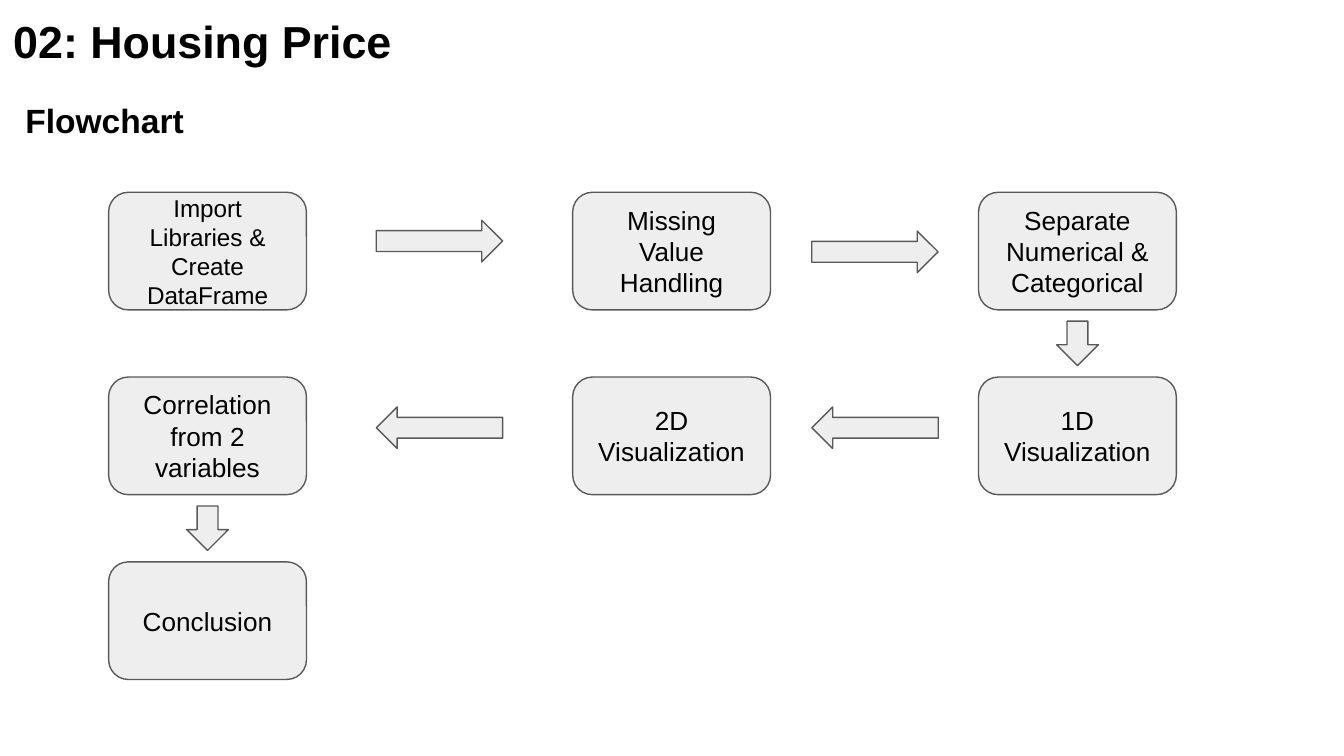
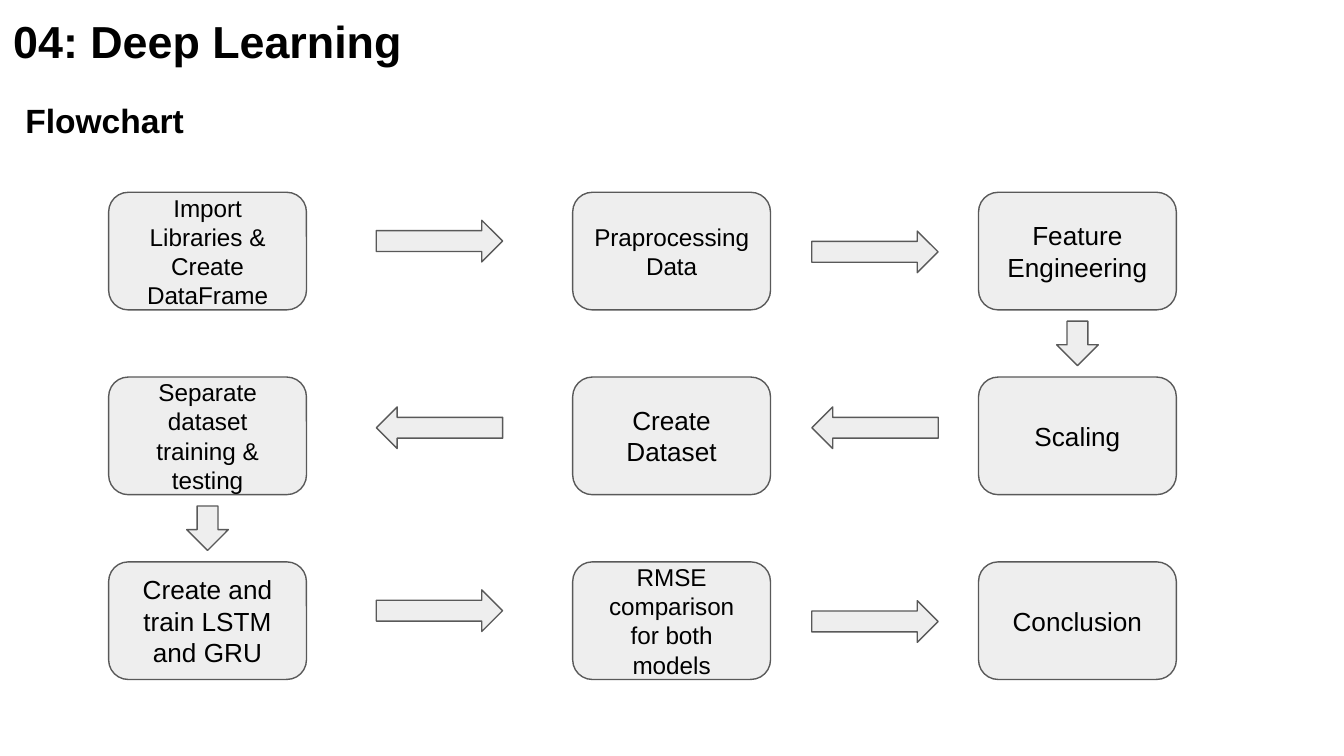
"""Build two flowchart slides whose steps wind back and forth across a grid."""
import pptx
import pptx.dml.color
import pptx.enum.shapes
import pptx.enum.text
import pptx.util

Pt = pptx.util.Pt
SHAPES = pptx.enum.shapes.MSO_SHAPE
ALIGN = pptx.enum.text.PP_ALIGN
ANCHOR = pptx.enum.text.MSO_ANCHOR
BLACK = pptx.dml.color.RGBColor(0x00, 0x00, 0x00)
GREY_FILL = pptx.dml.color.RGBColor(0xEE, 0xEE, 0xEE)
GREY_LINE = pptx.dml.color.RGBColor(0x59, 0x59, 0x59)
FONT = "Arial"

COLUMN_LEFTS = [58.2, 306.8, 524.2]
ROW_TOP, ROW_STEP = 103, 99
STEP_WIDTH, STEP_HEIGHT = 106, 63
ARROW_LEFTS = [201.6, 434.9]
ARROW_WIDTH, ARROW_HEIGHT, DOWN_LENGTH = 67.7, 22.3, 23.8
FORWARD_OFFSETS = [15, 20.8]
BACKWARD_OFFSET = 16

FLOWCHARTS = [
    ("02: Housing Price", [
        ("Import Libraries & Create DataFrame", 13),
        ("Missing Value Handling", 14),
        ("Separate Numerical & Categorical", 14),
        ("1D Visualization", 14),
        ("2D Visualization", 14),
        ("Correlation from 2 variables", 14),
        ("Conclusion", 14),
    ]),
    ("04: Deep Learning", [
        ("Import Libraries & Create DataFrame", 13),
        ("Praprocessing Data", 13),
        ("Feature Engineering", 14),
        ("Scaling", 14),
        ("Create Dataset", 14),
        ("Separate dataset training & testing", 13),
        ("Create and train LSTM and GRU", 14),
        ("RMSE comparison for both models", 13),
        ("Conclusion", 14),
    ]),
]


def write_text(box, text, size, align, bold=False):
    frame = box.text_frame
    frame.word_wrap = True
    frame.margin_left = frame.margin_right = Pt(7.2)
    frame.margin_top = frame.margin_bottom = Pt(7.2)
    frame.text = text
    para = frame.paragraphs[0]
    para.alignment = align
    span = para.runs[0]
    span.font.name = FONT
    span.font.size = Pt(size)
    span.font.bold = bold
    span.font.color.rgb = BLACK
    return para


def add_grey_shape(page, kind, left, top, width, height):
    shape = page.shapes.add_shape(kind, Pt(left), Pt(top), Pt(width), Pt(height))
    shape.shadow.inherit = False
    shape.fill.solid()
    shape.fill.fore_color.rgb = GREY_FILL
    shape.line.color.rgb = GREY_LINE
    shape.line.width = Pt(0.75)
    return shape


deck = pptx.Presentation()
deck.slide_width = Pt(720)
deck.slide_height = Pt(405)

for title, steps in FLOWCHARTS:
    page = deck.slides.add_slide(deck.slide_layouts[6])

    title_box = page.shapes.add_textbox(Pt(0), Pt(0), Pt(671), Pt(45.4))
    write_text(title_box, title, 24, ALIGN.JUSTIFY, bold=True)

    heading_box = page.shapes.add_textbox(Pt(6.5), Pt(43.2), Pt(689), Pt(332))
    heading = write_text(heading_box, "Flowchart", 18, ALIGN.LEFT, bold=True)
    heading.line_spacing = 1.15
    heading.space_after = Pt(12)

    for index, (label, size) in enumerate(steps):
        row, place = divmod(index, 3)
        backward = row % 2 == 1
        column = 2 - place if backward else place
        left = COLUMN_LEFTS[column]
        top = ROW_TOP + row * ROW_STEP

        step = add_grey_shape(page, SHAPES.ROUNDED_RECTANGLE, left, top, STEP_WIDTH, STEP_HEIGHT)
        step.adjustments[0] = 0.167
        step.text_frame.vertical_anchor = ANCHOR.MIDDLE
        write_text(step, label, size, ALIGN.CENTER)

        if index == len(steps) - 1:
            continue
        if place == 2:
            arrow_left = left + (STEP_WIDTH - DOWN_LENGTH) / 2
            arrow_top = top + (STEP_HEIGHT + ROW_STEP - ARROW_HEIGHT) / 2
            arrow_width, rotation = DOWN_LENGTH, 90
        else:
            gap = column - 1 if backward else column
            arrow_left = ARROW_LEFTS[gap]
            arrow_top = top + (BACKWARD_OFFSET if backward else FORWARD_OFFSETS[gap])
            arrow_width, rotation = ARROW_WIDTH, 180 if backward else 0
        arrow = add_grey_shape(page, SHAPES.RIGHT_ARROW, arrow_left, arrow_top, arrow_width, ARROW_HEIGHT)
        arrow.rotation = rotation

deck.save("out.pptx")
